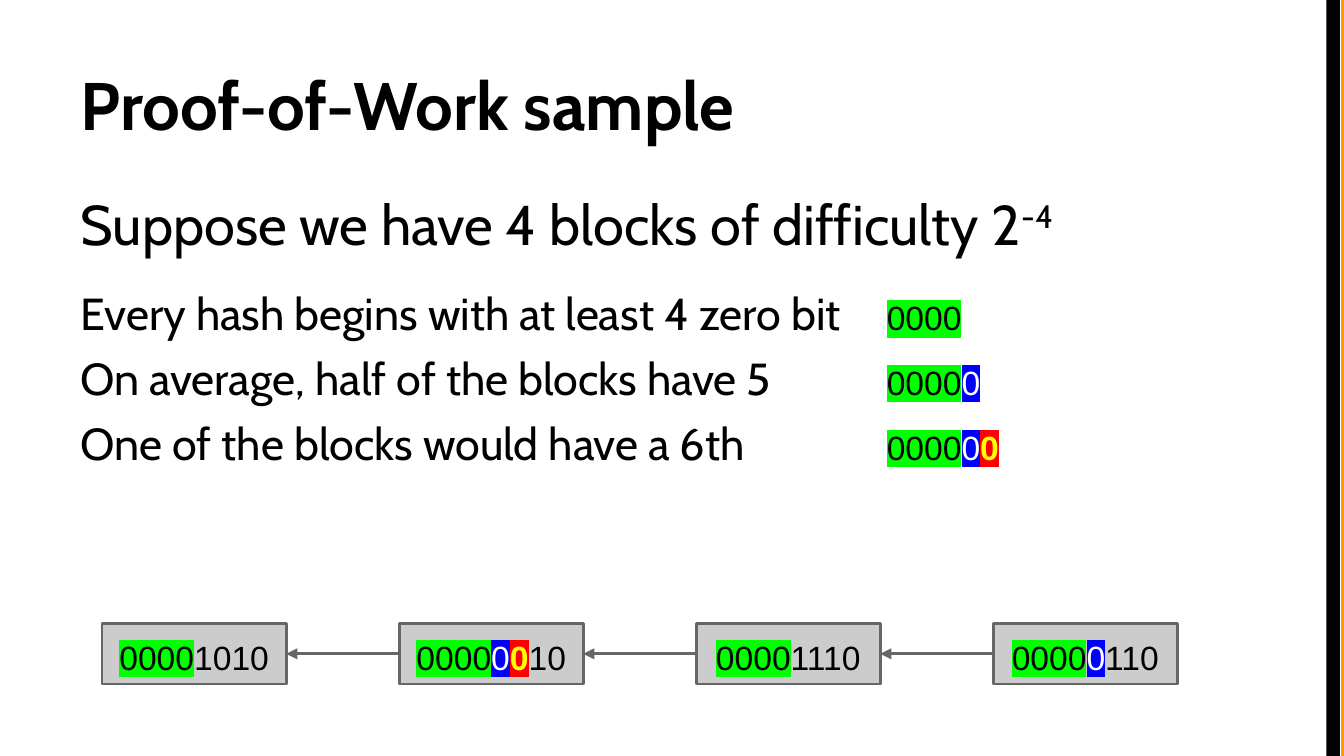
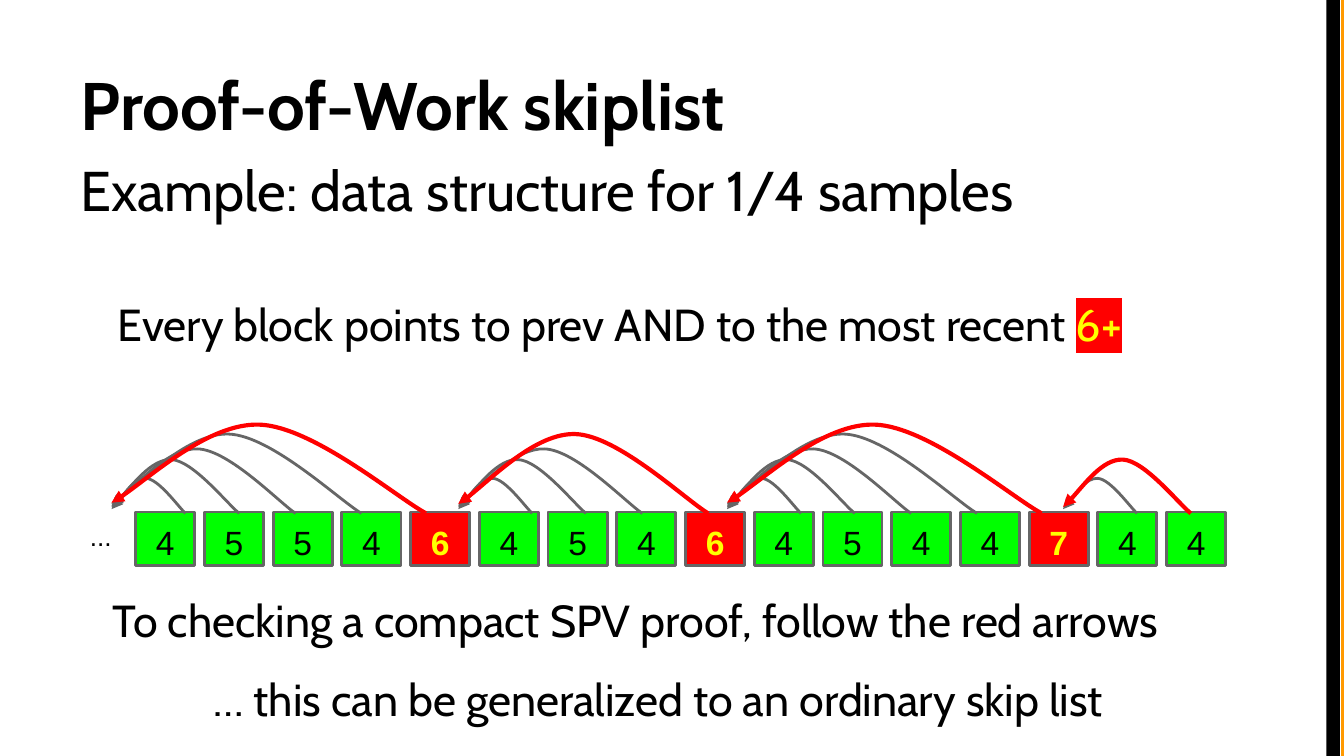
from lxml import etree
from pptx import Presentation
from pptx import util as u
from pptx.dml.color import RGBColor
from pptx.enum import shapes, text
from pptx.oxml.ns import qn

WIDE = 10
HIGH = WIDE * 9 / 16
INSET = 0.1
HEAD, MONO = "Cabin", "Arial"
HUE = {"ink": "000000", "paper": "FFFFFF", "gold": "FF9900", "gray": "CCCCCC",
       "edge": "666666", "green": "00FF00", "blue": "0000FF", "red": "FF0000",
       "yellow": "FFFF00"}
MARKS = {  # text colour, highlight, bold
    "four": ("ink", "green", False),
    "five": ("paper", "blue", False),
    "six": ("yellow", "red", True),
    "plus": ("yellow", "red", False),
}

SAMPLE = "Proof-of-Work sample"
LEAD = ("Suppose we have 4 blocks of difficulty 2", "-4")
FACTS = [
    ("Every hash begins with at least 4 zero bit", "0000"),
    ("On average, half of the blocks have 5", "00000"),
    ("One of the blocks would have a 6th", "000000"),
]
HASHES = ["00001010", "00000010", "00001110", "00000110"]

SKIP = "Proof-of-Work skiplist"
EXAMPLE = "Example: data structure for 1/4 samples"
RULE = ("Every block points to prev AND to the most recent ", "6+")
LEVELS = [4, 5, 5, 4, 6, 4, 5, 4, 6, 4, 5, 4, 4, 7, 4, 4]
NOTES = [  # text, top, indent
    ("To checking a compact SPV proof, follow the red arrows", 4.31, 0),
    ("… this can be generalized to an ordinary skip list", 4.9, 0.75),
]
ARCS = [(0.55, 0.26), (0.95, 0.4), (1.37, 0.48), (1.86, 0.59), (2.34, 0.66)]
GOALS = [(0.83, 5), (3.41, 4), (5.41, 5), (7.91, 2)]  # arrow tip, arcs
BEND = [(1, 1), (0.91, 0.83), (0.64, 0.02), (0.47, 0),
        (0.31, -0.02), (0.08, 0.73), (0, 0.88)]


def rgb(name):
    return RGBColor.from_string(HUE[name])


def add(node, tag, **attrs):
    kid = etree.SubElement(node, qn(tag))
    for key, val in attrs.items():
        kid.set(key, str(val))
    return kid


def inches(*nums):
    return [u.Inches(n) for n in nums]


def pad(frame, anchor=text.MSO_ANCHOR.TOP):
    frame.word_wrap = True
    frame.auto_size = text.MSO_AUTO_SIZE.NONE
    frame.vertical_anchor = anchor
    for side in ("left", "right", "top", "bottom"):
        setattr(frame, f"margin_{side}", u.Inches(INSET))


def style(font, size, face, ink="ink", bold=False):
    font.size, font.name, font.bold = u.Pt(size), face, bold
    font.color.rgb = rgb(ink)


def para(frame, size, face=HEAD, gap=0, indent=0, tab=0):
    """Return the empty first paragraph, or a new one, ready for runs."""
    first = frame.paragraphs[0]
    p = frame.add_paragraph() if first.runs else first
    props = p._p.get_or_add_pPr()
    if indent:
        props.set("marL", str(u.Inches(indent)))
    if tab:
        add(add(props, "a:tabLst"), "a:tab", pos=u.Inches(tab), algn="l")
    if gap:
        p.space_before = u.Pt(gap)
    style(p.font, size, face)
    return p


def say(p, words, size=None, face=None, mark=None):
    run = p.add_run()
    run.text = words
    if mark:
        ink, back, bold = MARKS[mark]
        style(run.font, size, face, ink, bold)
        glow = etree.Element(qn("a:highlight"))
        add(glow, "a:srgbClr", val=HUE[back])
        run.font._element.find(qn("a:solidFill")).addnext(glow)
    elif size:
        style(run.font, size, face)
    return run


def bits(p, code):
    """Mark the leading zeros: four together, then the fifth and sixth."""
    lead = len(code) - len(code.lstrip("0"))
    say(p, code[:4], 18, MONO, "four")
    for bit, mark in zip(code[4:lead], ("five", "six")):
        say(p, bit, 18, MONO, mark)
    if code[lead:]:
        say(p, code[lead:], 18, MONO)


def box(slide, left, top, wide, high):
    frame = slide.shapes.add_textbox(*inches(left, top, wide, high)).text_frame
    pad(frame)
    return frame


def rect(slide, left, top, wide, high, fill):
    shape = slide.shapes.add_shape(shapes.MSO_SHAPE.RECTANGLE,
                                   *inches(left, top, wide, high))
    shape.shadow.inherit = False
    shape.fill.solid()
    shape.fill.fore_color.rgb = rgb(fill)
    shape.line.fill.background()
    return shape


def stroke(shape, hue="edge", width=1.5, tip=False):
    shape.line.color.rgb = rgb(hue)
    shape.line.width = u.Pt(width)
    if tip:
        add(shape.line._get_or_add_ln(), "a:tailEnd", type="triangle")


def block(slide, left, top, wide, high, fill):
    """Draw a chain block; return it and its centred paragraph."""
    shape = rect(slide, left, top, wide, high, fill)
    stroke(shape)
    pad(shape.text_frame, text.MSO_ANCHOR.MIDDLE)
    p = para(shape.text_frame, 18, MONO)
    p.alignment = text.PP_ALIGN.CENTER
    p.line_spacing = 1.15
    return shape, p


def link(slide, start, end):
    wire = slide.shapes.add_connector(shapes.MSO_CONNECTOR.STRAIGHT, 0, 0, 0, 0)
    wire.begin_connect(start, 1)
    wire.end_connect(end, 3)
    stroke(wire, tip=True)
    add(wire._element.spPr, "a:effectLst")


def arc(slide, left, base, wide, high, red):
    """Draw a curved arrow from its right foot to its tip on the left."""
    unit = 1000
    dots = [(round(x * wide * unit), round(y * high * unit)) for x, y in BEND]
    pen = slide.shapes.build_freeform(*dots[0], scale=u.Inches(1) / unit)
    pen.add_line_segments([dots[3], dots[6]], close=False)
    shape = pen.convert_to_shape(*inches(left, base - high))
    path = shape._element.find(".//" + qn("a:path"))
    for kid in list(path):
        path.remove(kid)
    for tag, part in (("a:moveTo", dots[:1]), ("a:cubicBezTo", dots[1:4]),
                      ("a:cubicBezTo", dots[4:])):
        step = add(path, tag)
        for x, y in part:
            add(step, "a:pt", x=x, y=y)
    shape.shadow.inherit = False
    shape.fill.background()
    stroke(shape, *(("red", 2.25) if red else ("edge", 1.5)), tip=True)


def page(deck, words):
    slide = deck.slides.add_slide(deck.slide_layouts[5])
    rect(slide, 9.98, 0, 0.1, HIGH, "gold")
    rect(slide, 9.87, 0, 0.1, HIGH, "ink")
    title = slide.shapes.title
    title.left, title.top, title.width, title.height = inches(0.5, 0.23, 9, 0.94)
    pad(title.text_frame, text.MSO_ANCHOR.BOTTOM)
    title.text_frame.text = words
    p = title.text_frame.paragraphs[0]
    p.alignment = text.PP_ALIGN.LEFT
    style(p.font, 36, HEAD, bold=True)
    return slide


def sample(deck):
    slide = page(deck, SAMPLE)
    body = box(slide, 0.5, 1.31, 9, 4.07)
    p = para(body, 30)
    say(p, LEAD[0])
    say(p, LEAD[1]).font._element.set("baseline", "30000")
    for i, (fact, code) in enumerate(FACTS):
        p = para(body, 24, gap=6 if i else 15.5, tab=6)
        say(p, fact + "\t", 24, HEAD)
        bits(p, code)
    chain = []
    for i, code in enumerate(HASHES):
        shape, p = block(slide, 0.76 + 2.21 * i, 4.64, 1.37, 0.45, "gray")
        bits(p, code)
        chain.append(shape)
    for prev, here in zip(chain, chain[1:]):
        link(slide, here, prev)


def skiplist(deck):
    slide = page(deck, SKIP)
    body = box(slide, 0.5, 1.06, 9, 4.07)
    say(para(body, 30), EXAMPLE)
    p = para(body, 24, gap=39.5, indent=0.28)
    say(p, RULE[0])
    say(p, RULE[1], 24, HEAD, "plus")

    first, last, top = 1.01, 8.68, 3.81
    pitch = (last - first) / (len(LEVELS) - 1)
    for i, level in enumerate(LEVELS):
        high = level >= 6
        _, p = block(slide, first + pitch * i, top, 0.44, 0.4,
                     "red" if high else "green")
        say(p, str(level), 18, MONO, "six" if high else None)
    for tip, count in GOALS:
        for i, (wide, high) in enumerate(ARCS[:count], 1):
            arc(slide, tip, 3.82, wide, high, i == count)

    say(para(box(slide, 0.57, 3.77, 0.36, 0.5), 14, MONO), "...")
    for words, y, indent in NOTES:
        say(para(box(slide, 0.74, y, 8.71, 0.5), 24, indent=indent), words)


def main():
    deck = Presentation()
    deck.slide_width, deck.slide_height = inches(WIDE, HIGH)
    sample(deck)
    skiplist(deck)
    deck.save("out.pptx")


if __name__ == "__main__":
    main()
